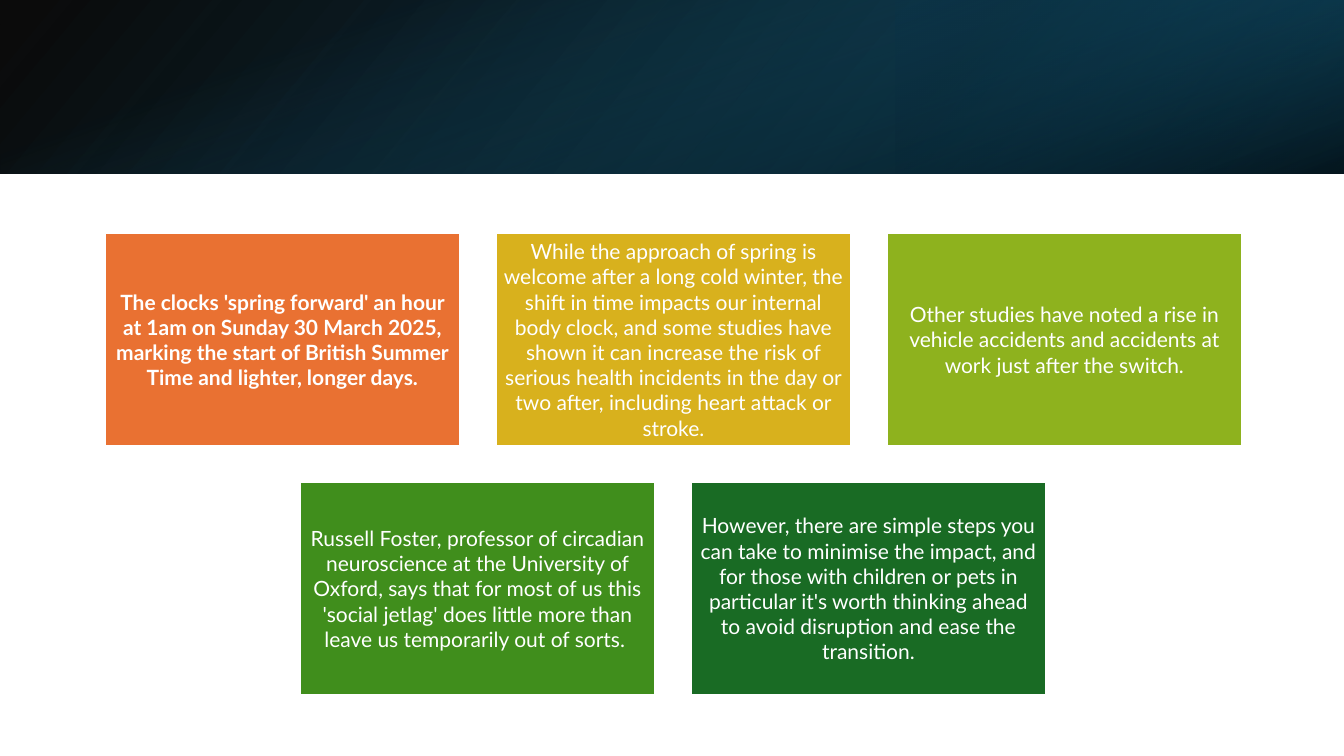
from dataclasses import dataclass

from pptx import Presentation
from pptx.dml.color import RGBColor
from pptx.enum.shapes import MSO_SHAPE as Shape
from pptx.enum.text import MSO_ANCHOR as Anchor, PP_ALIGN as Align
from pptx.oxml.ns import qn
from pptx.shapes.autoshape import Shape as AutoShape
from pptx.slide import Slide
from pptx.util import Emu, Pt
from lxml.etree import SubElement

EMU_PER_PX = 12192000 / 1344
PAGE_WIDTH, PAGE_HEIGHT = 1344, 756
BANNER_HEIGHT = 174
CARD_WIDTH, CARD_HEIGHT = 355, 213
CARD_GAP = 36
CARDS_CENTER, CARDS_TOP = 673, 233
CARD_INSET = 6


@dataclass
class Stop:
    position: float
    color: str
    opacity: int


@dataclass
class Glow:
    left: int
    top: int
    width: int
    height: int
    rotation: int
    flipped: bool
    angle: int
    stops: tuple[Stop, Stop]


@dataclass
class Card:
    text: str
    color: str
    bold: bool = False


GLOWS = [
    Glow(0, 0, PAGE_WIDTH, BANNER_HEIGHT, 0, True, 140,
         (Stop(0, "000000", 96), Stop(1, "104862", 100))),
    Glow(896, 0, 448, BANNER_HEIGHT, 180, True, 320,
         (Stop(0.19, "0B3041", 68), Stop(1, "156082", 79))),
    Glow(585, -585, BANNER_HEIGHT, PAGE_WIDTH, 90, False, 340,
         (Stop(0.23, "156082", 0), Stop(0.99, "000000", 74))),
]

CARD_ROWS = [
    [
        Card("The clocks 'spring forward' an hour at 1am on Sunday 30 March 2025, "
             "marking the start of British Summer Time and lighter, longer days.",
             "E97132", bold=True),
        Card("While the approach of spring is welcome after a long cold winter, "
             "the shift in time impacts our internal body clock, and some studies "
             "have shown it can increase the risk of serious health incidents in "
             "the day or two after, including heart attack or stroke.", "D8B11D"),
        Card("Other studies have noted a rise in vehicle accidents and accidents "
             "at work just after the switch.", "8EB21E"),
    ],
    [
        Card("Russell Foster, professor of circadian neuroscience at the University "
             "of Oxford, says that for most of us this 'social jetlag' does little "
             "more than leave us temporarily out of sorts. ", "408E1C"),
        Card("However, there are simple steps you can take to minimise the impact, "
             "and for those with children or pets in particular it's worth thinking "
             "ahead to avoid disruption and ease the transition.", "196B24"),
    ],
]


def px(length: int) -> Emu:
    return Emu(round(length * EMU_PER_PX))


def rgb(color: str) -> RGBColor:
    return RGBColor.from_string(color)


def add_box(page: Slide, left: int, top: int, width: int, height: int) -> AutoShape:
    box = page.shapes.add_shape(
        Shape.RECTANGLE, px(left), px(top), px(width), px(height))
    box.shadow.inherit = False
    return box


def add_glow(page: Slide, glow: Glow) -> None:
    box = add_box(page, glow.left, glow.top, glow.width, glow.height)
    box.rotation = glow.rotation
    if glow.flipped:
        box.element.spPr.find(qn("a:xfrm")).set("flipH", "1")
    box.line.fill.background()
    box.fill.gradient()
    box.fill.gradient_angle = 360 - glow.angle
    for target, stop in zip(box.fill.gradient_stops, glow.stops):
        target.position = stop.position
        target.color.rgb = rgb(stop.color)
    colors = box.element.spPr.findall(".//" + qn("a:srgbClr"))
    for color, stop in zip(colors, glow.stops):
        SubElement(color, qn("a:alpha")).set("val", str(stop.opacity * 1000))


def add_card(page: Slide, card: Card, left: int, top: int) -> None:
    box = add_box(page, left, top, CARD_WIDTH, CARD_HEIGHT)
    box.fill.solid()
    box.fill.fore_color.rgb = rgb(card.color)
    box.line.color.rgb = rgb("FFFFFF")
    box.line.width = Pt(1.5)
    frame = box.text_frame
    frame.text = card.text
    frame.word_wrap = True
    frame.vertical_anchor = Anchor.MIDDLE
    frame.margin_left = frame.margin_right = px(CARD_INSET)
    frame.margin_top = frame.margin_bottom = px(CARD_INSET)
    para = frame.paragraphs[0]
    para.alignment = Align.CENTER
    span = para.runs[0]
    span.font.name = "Lato"
    span.font.size = Pt(15)
    span.font.bold = card.bold
    span.font.color.rgb = rgb("FFFFFF")


def add_card_row(page: Slide, cards: list[Card], top: int) -> None:
    pitch = CARD_WIDTH + CARD_GAP
    left = CARDS_CENTER - (len(cards) * pitch - CARD_GAP) // 2
    for column, card in enumerate(cards):
        add_card(page, card, left + column * pitch, top)


def main() -> None:
    deck = Presentation()
    deck.slide_width, deck.slide_height = px(PAGE_WIDTH), px(PAGE_HEIGHT)
    page = deck.slides.add_slide(deck.slide_layouts[6])
    for glow in GLOWS:
        add_glow(page, glow)
    for row, cards in enumerate(CARD_ROWS):
        add_card_row(page, cards, CARDS_TOP + row * (CARD_HEIGHT + CARD_GAP))
    deck.save("out.pptx")


if __name__ == "__main__":
    main()
